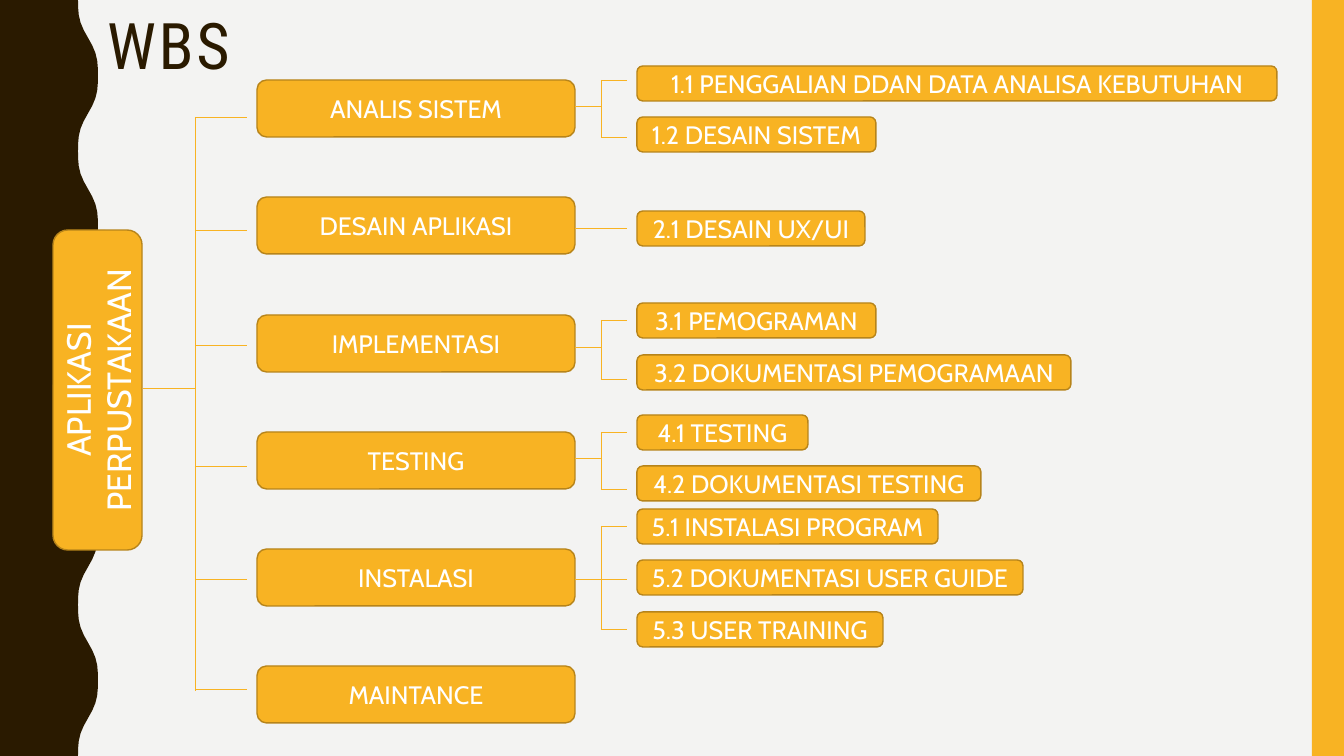
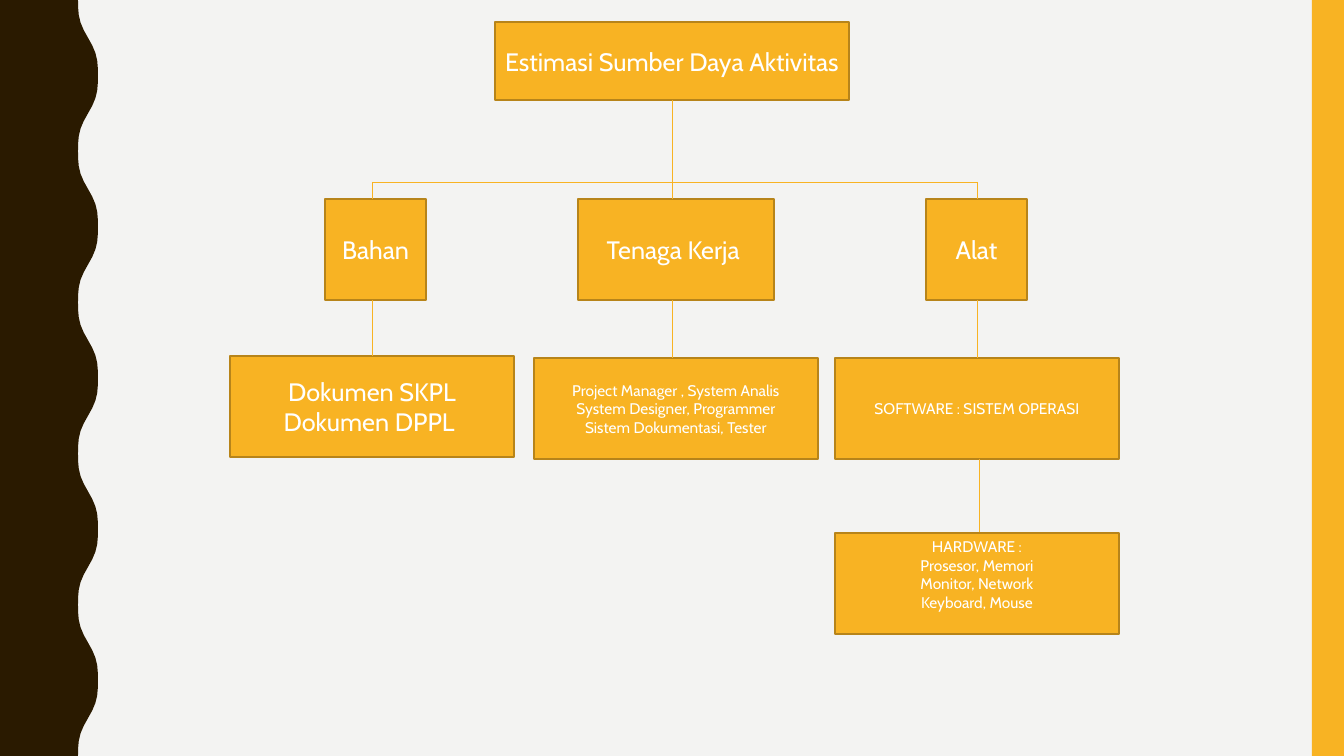
import math
from pptx import Presentation
from pptx import util as u
from pptx.dml.color import RGBColor
from pptx.enum import shapes, text
from pptx.oxml import xmlchemy as xml
from pptx.oxml.ns import qn
from lxml import etree

PAPER = RGBColor(0xF3, 0xF3, 0xF2)
BROWN = RGBColor(0x2A, 0x1A, 0x00)
GOLD = RGBColor(0xF8, 0xB3, 0x23)
EDGE = RGBColor(0xB7, 0x84, 0x1A)
WHITE = RGBColor(0xFF, 0xFF, 0xFF)
WIDE, HIGH = 1344, 756
UNIT = 12192000 / WIDE
ROUND = shapes.MSO_SHAPE.ROUNDED_RECTANGLE
RECT = shapes.MSO_SHAPE.RECTANGLE


def box(page, kind, area, lines, size=18):
    shape = page.shapes.add_shape(kind, *[round(n * UNIT) for n in area])
    shape.shadow.inherit = False
    shape.fill.solid()
    shape.fill.fore_color.rgb = GOLD
    shape.line.color.rgb = EDGE
    shape.line.width = u.Pt(1)
    frame = shape.text_frame
    frame.word_wrap = True
    frame.vertical_anchor = text.MSO_ANCHOR.MIDDLE
    for i, line in enumerate(lines):
        para = frame.add_paragraph() if i else frame.paragraphs[0]
        para.alignment = text.PP_ALIGN.CENTER
        run = para.add_run()
        run.text = line
        run.font.name = "Cabin"
        run.font.size = u.Pt(size)
        run.font.color.rgb = WHITE
    return shape


def link(page, *ends):
    line = page.shapes.add_connector(
        shapes.MSO_CONNECTOR.STRAIGHT, *[round(n * UNIT) for n in ends])
    line.line.color.rgb = GOLD
    line.line.width = u.Pt(0.5)
    etree.SubElement(line.element.spPr, qn("a:effectLst"))


deck = Presentation()
deck.slide_width = round(WIDE * UNIT)
deck.slide_height = round(HIGH * UNIT)
plan = deck.slides.add_slide(deck.slide_layouts[5])
needs = deck.slides.add_slide(deck.slide_layouts[6])

master = deck.slide_master
master.background.fill.solid()
master.background.fill.fore_color.rgb = PAPER

wave = []
for step in range(101):
    turn = step * math.pi / 10
    x = 88 - 11 * math.cos(turn) + math.cos(3 * turn)
    wave.append((round(x * UNIT), round(HIGH * step / 100 * UNIT)))
pen = plan.shapes.build_freeform(0, 0, scale=1.0)
pen.add_line_segments(wave + [(0, round(HIGH * UNIT))], close=True)
side = pen.convert_to_shape()
band = plan.shapes.add_shape(
    RECT, round(1312 * UNIT), 0, round(32 * UNIT), round(HIGH * UNIT))
for i, (shape, tint) in enumerate([(side, BROWN), (band, GOLD)]):
    shape.shadow.inherit = False
    shape.fill.solid()
    shape.fill.fore_color.rgb = tint
    shape.line.fill.background()
    shape.element.nvSpPr.cNvPr.set("id", str(20 + i))
    master.shapes.element.insert(2 + i, shape.element)

title = plan.shapes.title
title.left, title.top, title.width, title.height = [
    round(n * UNIT) for n in (97, 10, 159, 77)]
frame = title.text_frame
frame.auto_size = text.MSO_AUTO_SIZE.NONE
frame.vertical_anchor = text.MSO_ANCHOR.MIDDLE
para = frame.paragraphs[0]
para.alignment = text.PP_ALIGN.LEFT
para.line_spacing = 0.9
run = para.add_run()
run.text = "WBS"
run.font.name = "Roboto Condensed"
run.font.size = u.Pt(45.9)
run.font.color.rgb = BROWN
run.font._element.set("spc", "200")

root = box(plan, ROUND, (53, 230, 89, 320), ["APLIKASI PERPUSTAKAAN"], 24)
root.text_frame._txBody.bodyPr.set("vert", "vert270")

TREE = [
    ("ANALIS SISTEM", 117, 106, [
        ("1.1 PENGGALIAN DDAN DATA ANALISA KEBUTUHAN", 66, 640, 80),
        ("1.2 DESAIN SISTEM", 117, 239, 137)]),
    ("DESAIN APLIKASI", 230, 228, [("2.1 DESAIN UX/UI", 211, 228, 228)]),
    ("IMPLEMENTASI", 345, 347, [
        ("3.1 PEMOGRAMAN", 303, 239, 320),
        ("3.2 DOKUMENTASI PEMOGRAMAAN", 355, 434, 379)]),
    ("TESTING", 466, 458, [
        ("4.1 TESTING", 415, 171, 432),
        ("4.2 DOKUMENTASI TESTING", 466, 344, 489)]),
    ("INSTALASI", 579, 579, [
        ("5.1 INSTALASI PROGRAM", 509, 301, 526),
        ("5.2 DOKUMENTASI USER GUIDE", 560, 386, 579),
        ("5.3 USER TRAINING", 612, 246, 629)]),
    ("MAINTANCE", 689, None, []),
]
link(plan, 143, 388, 195, 388)
link(plan, 195, 117, 195, 691)
for i, (name, tick, stem, tasks) in enumerate(TREE):
    box(plan, ROUND, (257, 80 + round(117.3 * i), 318, 57), [name])
    link(plan, 195, tick, 247, tick)
    for task, top, width, arm in tasks:
        box(plan, ROUND, (637, top, width, 35), [task])
        link(plan, 601, arm, 627, arm)
    if tasks:
        link(plan, 575, stem, 601, stem)
    if len(tasks) > 1:
        link(plan, 601, tasks[0][3], 601, tasks[-1][3])

box(needs, RECT, (495, 22, 354, 78), ["Estimasi Sumber Daya Aktivitas"])
link(needs, 672, 100, 672, 182)
link(needs, 372, 182, 977, 182)
GROUPS = [
    ("Bahan", 325, 101, 372, 230, 356, 18,
     ["Dokumen SKPL", "Dokumen DPPL "]),
    ("Tenaga Kerja ", 578, 196, 672, 534, 358, 11,
     ["Project Manager , System Analis", "System Designer, Programmer",
      "Sistem Dokumentasi, Tester"]),
    ("Alat", 926, 101, 977, 835, 358, 11, ["SOFTWARE : SISTEM OPERASI"]),
]
for name, left, width, mid, edge, top, size, lines in GROUPS:
    box(needs, RECT, (left, 199, width, 101), [name])
    box(needs, RECT, (edge, top, 284, 101), lines, size)
    link(needs, mid, 182, mid, 199)
    link(needs, mid, 300, mid, top)
link(needs, 979, 459, 979, 533)
gear = box(needs, RECT, (835, 533, 284, 101),
           ["HARDWARE :", "Prosesor, Memori", "Monitor, Network",
            "Keyboard, Mouse"], 11)
gear.text_frame.margin_bottom = round(23 * UNIT)

deck.save("out.pptx")
